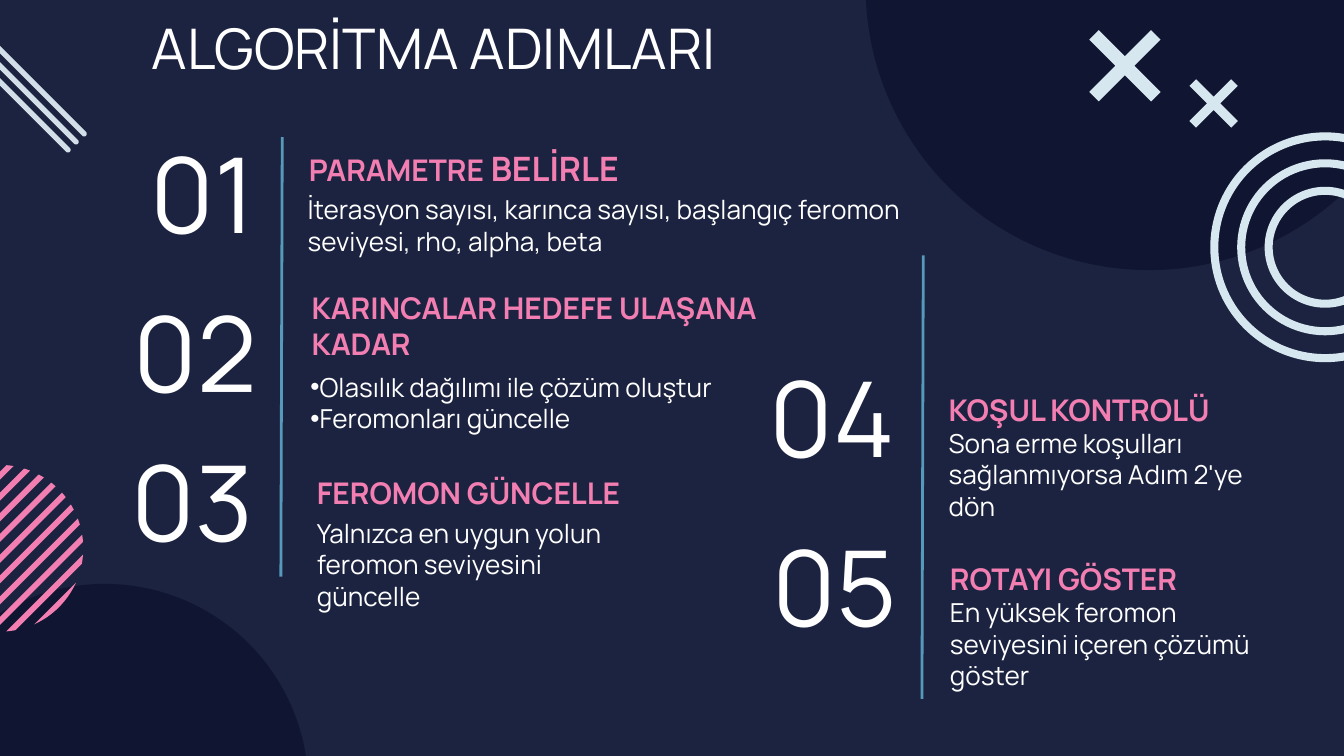
from math import acos, cos, pi, sin, sqrt

from lxml.etree import SubElement
from pptx import Presentation
from pptx.dml.color import RGBColor
from pptx.enum.shapes import MSO_CONNECTOR, MSO_SHAPE
from pptx.enum.text import MSO_ANCHOR, MSO_AUTO_SIZE, PP_ALIGN
from pptx.oxml.ns import qn
from pptx.util import Inches, Pt

FONT = "Manrope"
NAVY, DARK, WHITE = "1C2340", "101632", "FFFFFF"
PINK, PALE, MIST, BLUE = "F27EB2", "D7E7EF", "D2DFE9", "559ABA"

TITLE = "ALGORİTMA ADIMLARI"
# number, number position, heading runs (text, size), heading box, body, body box
STEPS = [
    ("01", (0.55, 1.3), [("PARAMETRE", 16), (" BELİRLE", 18)], (2.2, 0.85, 2.98, 0.65),
     ["İterasyon sayısı, karınca sayısı, başlangıç feromon seviyesi, rho, alpha, beta"],
     (2.19, 1.34, 5.09, 0.53)),
    ("02", (0.56, 2.48), [("KARINCALAR HEDEFE ULAŞANA KADAR", 16)], (2.22, 2.14, 4.03, 0.65),
     ["Olasılık dağılımı ile çözüm oluştur", "Feromonları güncelle"],
     (2.21, 2.66, 3.49, 0.71)),
    ("03", (0.53, 3.59), [("FEROMON GÜNCELLE", 16)], (2.26, 3.37, 2.57, 0.53),
     ["Yalnızca en uygun yolun feromon seviyesini güncelle"],
     (2.26, 3.75, 2.57, 0.54)),
    ("04", (5.31, 2.96), [("KOŞUL KONTROLÜ", 16)], (6.96, 2.44, 2.57, 0.84),
     ["Sona erme koşulları sağlanmıyorsa Adım 2'ye dön"],
     (6.96, 3.08, 2.57, 0.8)),
    ("05", (5.32, 4.22), [("ROTAYI GÖSTER", 16)], (6.97, 3.7, 2.57, 0.84),
     ["En yüksek feromon seviyesini içeren çözümü göster"],
     (6.97, 4.34, 2.57, 0.8)),
]
DIVIDERS = [(2.1, 1.02, 2.09, 4.29), (6.87, 1.9, 6.86, 5.2)]
DISCS = [(0.78, 5.86, 3.03), (8.55, -0.1, 4.22)]  # centre x, centre y, diameter
RINGS = [1.71, 1.31, 0.9]                         # diameters, one centre
CROSSES = [(9.03, 0.77, 0.44, 0.07), (8.37, 0.49, 0.65, 0.1)]  # centre, span, arm width


def rgb(color):
    return RGBColor.from_string(color)


def paint(sp, color):
    sp.fill.solid()
    sp.fill.fore_color.rgb = rgb(color)
    sp.line.fill.background()
    sp.shadow.inherit = False
    return sp


def add_centred(s, kind, cx, cy, w, h, color, adj=None, rotation=0):
    sp = paint(s.shapes.add_shape(kind, Inches(cx - w / 2), Inches(cy - h / 2),
                                  Inches(w), Inches(h)), color)
    if adj is not None:
        sp.adjustments[0] = adj
    sp.rotation = rotation


def add_striped_disc(s, cx, cy, radius, first, last, width, count):
    """Cut a disc into diagonal stripes; each lies between two lines x + y = constant."""
    limit, steps = radius * sqrt(2), 8
    for i in range(count):
        start = first + i * (last - first) / (count - 1)
        a, b = (acos(min(d, limit) / limit) for d in (start, start + width))
        arc = [a + (b - a) * k / steps for k in range(steps + 1)]
        angles = [pi / 4 + t for t in arc] + [pi / 4 - t for t in reversed(arc)]
        points = [(Inches(cx + radius * cos(t)), Inches(cy + radius * sin(t))) for t in angles]
        builder = s.shapes.build_freeform(*points[0])
        builder.add_line_segments(points[1:], close=True)
        paint(builder.convert_to_shape(), PINK)


def write(sp, box, paragraphs, color=WHITE, anchor=MSO_ANCHOR.TOP, align=PP_ALIGN.LEFT, bold=False):
    """Place a text shape and fill it; each paragraph is a list of (text, size)."""
    sp.left, sp.top, sp.width, sp.height = map(Inches, box)
    tf = sp.text_frame
    frame = {"word_wrap": True, "auto_size": MSO_AUTO_SIZE.NONE, "vertical_anchor": anchor}
    frame.update({f"margin_{side}": Inches(0.1) for side in ("left", "top", "right", "bottom")})
    for name, value in frame.items():
        setattr(tf, name, value)
    for i, runs in enumerate(paragraphs):
        p = tf.paragraphs[0] if i == 0 else tf.add_paragraph()
        p.alignment, p.space_before = align, Pt(0)
        for text, size in runs:
            r = p.add_run()
            r.text = text
            for name, value in {"name": FONT, "size": Pt(size), "bold": bold}.items():
                setattr(r.font, name, value)
            r.font.color.rgb = rgb(color)


def add_text(s, box, paragraphs, **style):
    write(s.shapes.add_textbox(0, 0, 0, 0), box, paragraphs, **style)


def set_bullets(tf):
    for p in tf.paragraphs:
        pPr = p._p.get_or_add_pPr()
        pPr.set("marL", "0")
        pPr.set("indent", "0")
        SubElement(SubElement(pPr, qn("a:buClr")), qn("a:srgbClr")).set("val", WHITE)
        SubElement(pPr, qn("a:buChar")).set("char", "•")


def add_decoration(s):
    for cx, cy, size in DISCS:
        add_centred(s, MSO_SHAPE.OVAL, cx, cy, size, size, DARK)
    add_striped_disc(s, 0, 4.08, 0.62, -0.57, 0.82, 0.06, 10)
    for size in RINGS:
        add_centred(s, MSO_SHAPE.DONUT, 9.86, 1.84, size, size, PALE, 0.06 / size)
    for i in range(3):
        add_centred(s, MSO_SHAPE.ROUNDED_RECTANGLE, 0.06 - 0.06 * i, 0.43 + 0.06 * i,
                    1.64, 0.04, MIST, 0.5, 45)
    for cx, cy, span, arm in CROSSES:
        add_centred(s, MSO_SHAPE.CROSS, cx, cy, span, span, PALE, (span - arm) / 2 / span, 45)


def add_divider(s, ends):
    line = s.shapes.add_connector(MSO_CONNECTOR.STRAIGHT, *map(Inches, ends))
    line.line.color.rgb = rgb(BLUE)
    line.line.width = Pt(1.5)
    SubElement(line._element.spPr, qn("a:effectLst"))


def main():
    prs = Presentation()
    prs.slide_width = Inches(10)
    prs.slide_height = prs.slide_width * 9 // 16
    s = prs.slides.add_slide(prs.slide_layouts[1])
    s.background.fill.solid()
    s.background.fill.fore_color.rgb = rgb(NAVY)

    add_decoration(s)
    write(s.shapes.title, (1.03, 0, 5.31, 0.98), [[(TITLE, 30)]])
    for number, at, heading, heading_box, body, body_box in STEPS:
        add_text(s, (*at, 1.45, 0.26), [[(number, 56)]],
                 anchor=MSO_ANCHOR.MIDDLE, align=PP_ALIGN.RIGHT)
        add_text(s, heading_box, [heading], color=PINK, anchor=MSO_ANCHOR.BOTTOM, bold=True)
        paragraphs = [[(text, 14)] for text in body]
        if len(body) > 1:
            bullets = s.placeholders[1]
            write(bullets, body_box, paragraphs)
            set_bullets(bullets.text_frame)
        else:
            add_text(s, body_box, paragraphs)
    for ends in DIVIDERS:
        add_divider(s, ends)
    prs.save("out.pptx")


if __name__ == "__main__":
    main()
